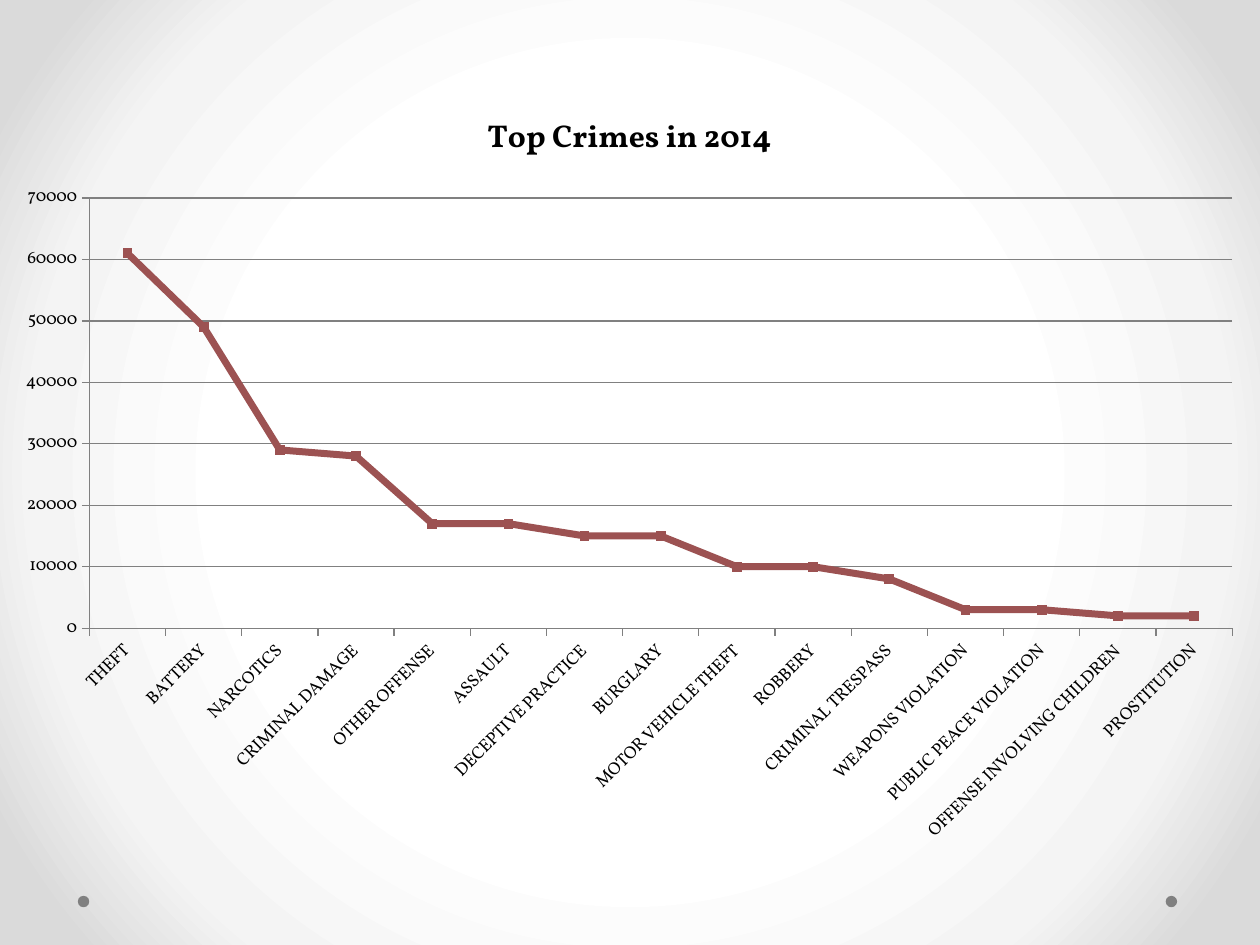
"""Build a slide with a line chart of the top crimes in 2014."""
from pptx import Presentation
from pptx import util as u
from pptx.chart import data as chart_data
from pptx.dml import color
from pptx.enum import chart as ce
from pptx.enum import shapes
from pptx.oxml import ns, parse_xml

FONT = "Vollkorn"
BLACK = color.RGBColor(0x00, 0x00, 0x00)
GREY = color.RGBColor(0x80, 0x80, 0x80)
RED = color.RGBColor(0x9C, 0x52, 0x52)
BACKGROUND_STOPS = (
    (50, color.RGBColor(0xFF, 0xFF, 0xFF)),
    (76, color.RGBColor(0xF4, 0xF4, 0xF4)),
    (92, color.RGBColor(0xDA, 0xDA, 0xDA)),
)
CRIMES = {
    "THEFT": 61000,
    "BATTERY": 49000,
    "NARCOTICS": 29000,
    "CRIMINAL DAMAGE": 28000,
    "OTHER OFFENSE": 17000,
    "ASSAULT": 17000,
    "DECEPTIVE PRACTICE": 15000,
    "BURGLARY": 15000,
    "MOTOR VEHICLE THEFT": 10000,
    "ROBBERY": 10000,
    "CRIMINAL TRESPASS": 8000,
    "WEAPONS VIOLATION": 3000,
    "PUBLIC PEACE VIOLATION": 3000,
    "OFFENSE INVOLVING CHILDREN": 2000,
    "PROSTITUTION": 2000,
}


def set_background(slide):
    slide.background.fill.gradient()
    gradient = slide.element.find(".//" + ns.qn("a:gradFill"))
    stops = "".join(
        f'<a:gs pos="{place * 1000}"><a:srgbClr val="{shade}"/></a:gs>'
        for place, shade in BACKGROUND_STOPS
    )
    radial = parse_xml(
        f'<a:gradFill {ns.nsdecls("a")} rotWithShape="1"><a:gsLst>{stops}</a:gsLst>'
        '<a:path path="circle"><a:fillToRect l="50000" t="50000" r="50000" b="50000"/>'
        "</a:path></a:gradFill>"
    )
    gradient.getparent().replace(gradient, radial)


def add_dot(slide, left):
    size = u.Cm(0.23)
    dot = slide.shapes.add_shape(shapes.MSO_SHAPE.OVAL, left, u.Cm(18.06), size, size)
    dot.shadow.inherit = False
    dot.fill.solid()
    dot.fill.fore_color.rgb = GREY
    dot.line.fill.background()


def style_font(font, size, bold=False):
    font.name = FONT
    font.size = u.Pt(size)
    font.bold = bold
    font.color.rgb = BLACK


def style_line(line, shade, width):
    line.color.rgb = shade
    line.width = u.Pt(width)


def style_axis(axis):
    axis.major_tick_mark = ce.XL_TICK_MARK.OUTSIDE
    axis.minor_tick_mark = ce.XL_TICK_MARK.NONE
    style_line(axis.format.line, GREY, 0.75)
    style_font(axis.tick_labels.font, 10)


def place_plot(chart, **fractions):
    parts = "".join(f'<c:{key} val="{value}"/>' for key, value in fractions.items())
    layout = parse_xml(
        f'<c:layout {ns.nsdecls("c")}><c:manualLayout><c:layoutTarget val="inner"/>'
        f'<c:xMode val="edge"/><c:yMode val="edge"/>{parts}</c:manualLayout></c:layout>'
    )
    area = chart.element.find(".//" + ns.qn("c:plotArea"))
    for old in area.findall(ns.qn("c:layout")):
        area.remove(old)
    area.insert(0, layout)


def add_title(chart, wording):
    chart.has_title = True
    chart.chart_title.include_in_layout = False
    span = chart.chart_title.text_frame.paragraphs[0].add_run()
    span.text = wording
    style_font(span.font, 18, bold=True)


def add_crime_chart(slide):
    table = chart_data.CategoryChartData(number_format="General")
    table.categories = list(CRIMES)
    table.add_series("Series 1", list(CRIMES.values()))
    chart = slide.shapes.add_chart(
        ce.XL_CHART_TYPE.LINE_MARKERS,
        u.Cm(0.03), u.Cm(1.73), u.Cm(25.32), u.Cm(15.6), table,
    ).chart
    style_font(chart.font, 10)
    chart.has_legend = False
    add_title(chart, "Top Crimes in 2014")

    style_axis(chart.category_axis)
    labels = chart.category_axis.tick_labels.font
    style_font(labels, 10)
    body = chart.category_axis.element.find(".//" + ns.qn("a:bodyPr")) if hasattr(
        chart.category_axis, "element") else chart.element.find(
        ".//" + ns.qn("c:catAx") + "/" + ns.qn("c:txPr") + "/" + ns.qn("a:bodyPr"))
    body.set("rot", str(-45 * 60000))
    counts = chart.value_axis
    style_axis(counts)
    counts.minimum_scale, counts.maximum_scale, counts.major_unit = 0, 70000, 10000
    counts.has_major_gridlines = True
    style_line(counts.major_gridlines.format.line, GREY, 0.75)

    chart.plots[0].vary_by_categories = False
    series = chart.plots[0].series[0]
    series.smooth = False
    style_line(series.format.line, RED, 4)
    series.marker.style = ce.XL_MARKER_STYLE.SQUARE
    series.marker.size = 5
    series.marker.format.fill.solid()
    series.marker.format.fill.fore_color.rgb = RED
    style_line(series.marker.format.line, RED, 0.75)
    place_plot(chart, x=0.07, y=0.145, w=0.91, h=0.556)


def main():
    deck = Presentation()
    deck.slide_width, deck.slide_height = u.Cm(25.4), u.Cm(19.05)
    slide = deck.slides.add_slide(deck.slide_layouts[6])
    set_background(slide)
    for left in (u.Cm(23.5), u.Cm(1.57)):
        add_dot(slide, left)
    add_crime_chart(slide)
    deck.save("out.pptx")


if __name__ == "__main__":
    main()
